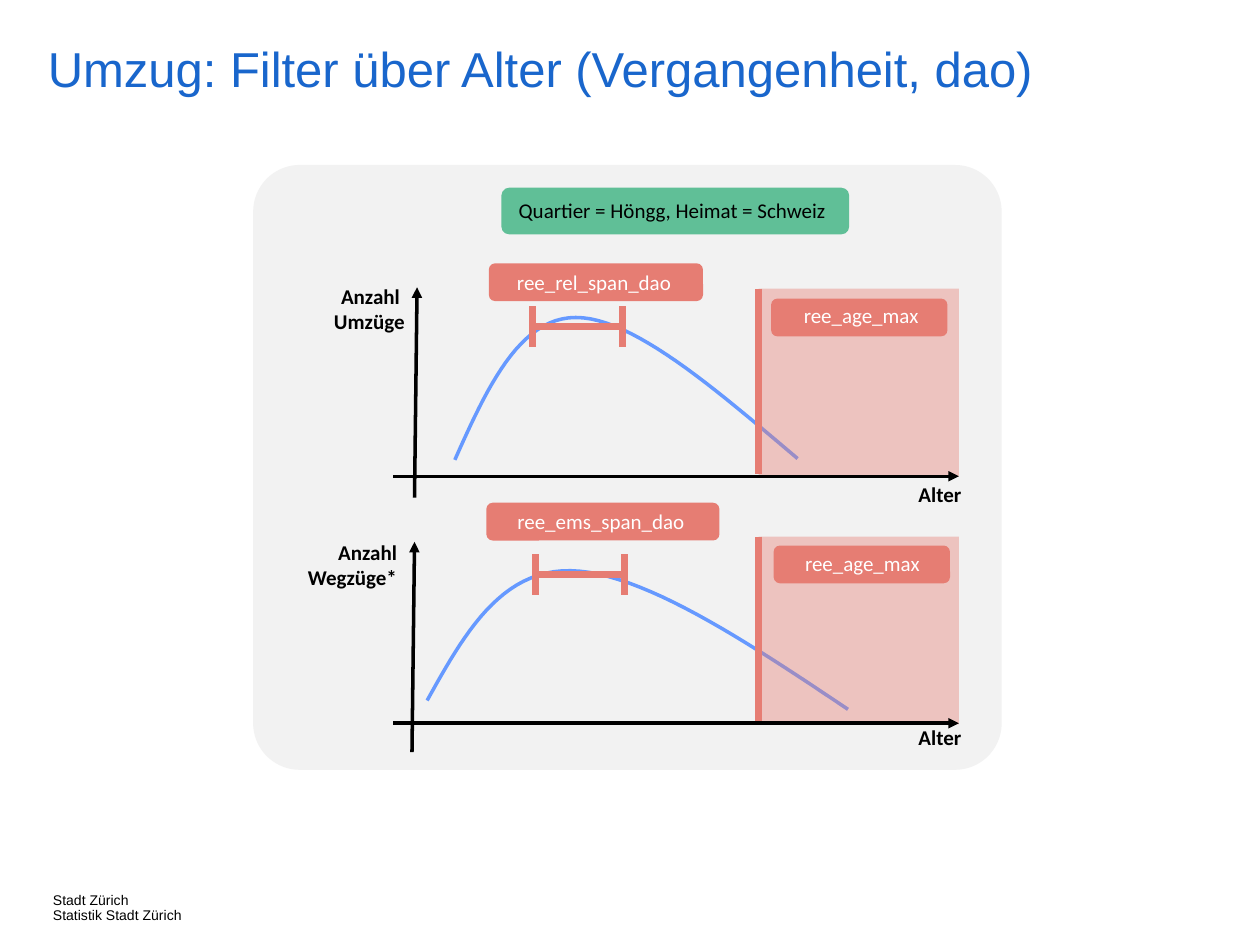
"""Build the slide on filtering moves by age."""
from dataclasses import dataclass

import lxml.etree
import pptx
import pptx.dml.color
import pptx.enum.shapes
import pptx.enum.text
import pptx.oxml.ns
import pptx.util

Inches = pptx.util.Inches
RGBColor = pptx.dml.color.RGBColor
Align = pptx.enum.text.PP_ALIGN
Shape = pptx.enum.shapes.MSO_SHAPE
qn = pptx.oxml.ns.qn
Point = tuple[float, float]
Box = tuple[float, float, float, float]

BLUE = RGBColor(0x19, 0x66, 0xCC)
CURVE_BLUE = RGBColor(0x66, 0x99, 0xFF)
CORAL = RGBColor(0xE6, 0x7D, 0x73)
GREEN = RGBColor(0x60, 0xBF, 0x97)
GREY = RGBColor(0xF2, 0xF2, 0xF2)
BLACK = RGBColor(0, 0, 0)
WHITE = RGBColor(0xFF, 0xFF, 0xFF)

AXIS_LEFT, AXIS_RIGHT, AGE_LIMIT = 3.12, 7.61, 6.02
CURVE_STEPS = 24


@dataclass(frozen=True)
class Label:
    text: str
    pill: Box
    text_box: Box


@dataclass(frozen=True)
class Diagram:
    count_label: str
    count_box: Box
    count_axis: tuple[Point, Point]
    age_axis_top: float
    age_label_top: float
    curve: tuple[Point, ...]
    span_left: float
    span_middle: float
    span_label: Label
    limit_top: float
    limit_label: Label


DIAGRAMS = (
    Diagram(
        "Anzahl \vUmzüge", (2.07, 2.2, 1.24, 0.5), ((3.29, 3.95), (3.31, 2.28)), 3.78, 3.77,
        ((3.61, 3.65), (3.86, 3.09), (4.12, 2.52), (4.57, 2.52),
         (5.02, 2.52), (5.67, 3.08), (6.33, 3.64)),
        4.23, 2.59,
        Label("ree_rel_span_dao", (3.88, 2.09, 1.7, 0.3), (3.81, 2.09, 1.81, 0.3)),
        2.29,
        Label("ree_age_max", (6.12, 2.37, 1.4, 0.3), (6.07, 2.35, 1.53, 0.3)),
    ),
    Diagram(
        "Anzahl Wegzüge*", (2.01, 4.23, 1.24, 0.5), ((3.27, 5.97), (3.29, 4.3)), 5.74, 5.7,
        ((3.39, 5.56), (3.68, 5.04), (3.97, 4.52), (4.53, 4.53),
         (5.09, 4.54), (5.91, 5.08), (6.73, 5.63)),
        4.25, 4.56,
        Label("ree_ems_span_dao", (3.86, 3.99, 1.85, 0.3), (3.79, 3.99, 1.96, 0.3)),
        4.26,
        Label("ree_age_max", (6.14, 4.33, 1.4, 0.3), (6.08, 4.32, 1.53, 0.3)),
    ),
)


def write(frame, text: str, *, size: float = 12, font: str = "Calibri",
          color: RGBColor = BLACK, bold: bool = False, align=Align.CENTER,
          spacing: float = 1.0, inset: bool = True, wrap: bool = True) -> None:
    """Fill a text frame with formatted text."""
    frame.text = text
    frame.word_wrap = wrap
    frame.auto_size = pptx.enum.text.MSO_AUTO_SIZE.NONE
    frame.vertical_anchor = pptx.enum.text.MSO_ANCHOR.TOP
    if not inset:
        frame.margin_left = frame.margin_right = frame.margin_top = frame.margin_bottom = 0
    for paragraph in frame.paragraphs:
        paragraph.alignment = align
        paragraph.line_spacing = spacing
        for run in paragraph.runs:
            run.font.size = pptx.util.Pt(size)
            run.font.name = font
            run.font.bold = bold
            run.font.color.rgb = color


def add_text(shapes, text: str, box: Box, **style) -> None:
    """Add a text box."""
    write(shapes.add_textbox(*map(Inches, box)).text_frame, text, **style)


def add_area(shapes, box: Box, color: RGBColor, kind=Shape.ROUNDED_RECTANGLE,
             rounding: float | None = None, opacity: int = 100) -> None:
    """Add a filled shape without an outline."""
    area = shapes.add_shape(kind, *map(Inches, box))
    area.shadow.inherit = False
    area.fill.solid()
    area.fill.fore_color.rgb = color
    area.line.fill.background()
    if rounding is not None:
        area.adjustments[0] = rounding
    if opacity < 100:
        tint = area.fill._xPr.find(f".//{qn('a:srgbClr')}")
        lxml.etree.SubElement(tint, qn("a:alpha"), val=str(opacity * 1000))


def add_line(shapes, start: Point, end: Point, color: RGBColor, width: float,
             arrow: bool = False) -> None:
    """Add a straight line, optionally with an arrowhead at its end."""
    line = shapes.add_connector(pptx.enum.shapes.MSO_CONNECTOR.STRAIGHT,
                                *map(Inches, (*start, *end)))
    line.line.color.rgb = color
    line.line.width = pptx.util.Pt(width)
    if arrow:
        lxml.etree.SubElement(line.line._get_or_add_ln(), qn("a:tailEnd"), type="triangle")
    lxml.etree.SubElement(line._element.spPr, qn("a:effectLst"))


def bezier(controls: tuple[Point, ...], t: float) -> Point:
    """Return the point at t on a cubic curve."""
    weights = ((1 - t) ** 3, 3 * t * (1 - t) ** 2, 3 * t * t * (1 - t), t ** 3)
    x, y = (sum(w * c for w, c in zip(weights, axis)) for axis in zip(*controls))
    return Inches(x), Inches(y)


def add_curve(shapes, controls: tuple[Point, ...]) -> None:
    """Add a smooth open curve through joined cubic sections."""
    points = [bezier(controls[first:first + 4], step / CURVE_STEPS)
              for first in range(0, len(controls) - 1, 3)
              for step in range(1, CURVE_STEPS + 1)]
    builder = shapes.build_freeform(*map(Inches, controls[0]))
    builder.add_line_segments(points, close=False)
    curve = builder.convert_to_shape()
    curve.shadow.inherit = False
    curve.fill.background()
    curve.line.color.rgb = CURVE_BLUE
    curve.line.width = pptx.util.Pt(2)


def add_label(shapes, label: Label) -> None:
    """Add a parameter name on a rounded background."""
    group = shapes.add_group_shape().shapes
    add_area(group, label.pill, CORAL)
    add_text(group, label.text, label.text_box, color=WHITE)


def add_span(shapes, left: float, middle: float) -> None:
    """Add a horizontal range bar with end caps."""
    group = shapes.add_group_shape().shapes
    right = left + 0.71
    add_line(group, (left, middle), (right, middle), CORAL, 4)
    for x in (left, right):
        add_line(group, (x, middle - 0.16), (x, middle + 0.16), CORAL, 4)


def add_diagram(shapes, diagram: Diagram) -> None:
    """Add one age distribution with its filters."""
    axis_top, limit_top = diagram.age_axis_top, diagram.limit_top
    add_curve(shapes, diagram.curve)
    add_text(shapes, "Alter", (6.84, diagram.age_label_top, 1.24, 0.3), bold=True)
    add_line(shapes, *diagram.count_axis, BLACK, 2, arrow=True)
    add_text(shapes, diagram.count_label, diagram.count_box, bold=True, align=Align.RIGHT)
    add_span(shapes, diagram.span_left, diagram.span_middle)
    add_label(shapes, diagram.span_label)
    add_line(shapes, (AGE_LIMIT, limit_top), (AGE_LIMIT, limit_top + 1.47), CORAL, 4)
    add_area(shapes, (AGE_LIMIT, limit_top, AXIS_RIGHT - AGE_LIMIT, 1.49), CORAL,
             Shape.RECTANGLE, opacity=40)
    add_line(shapes, (AXIS_LEFT, axis_top), (AXIS_RIGHT, axis_top), BLACK, 2, arrow=True)
    add_label(shapes, diagram.limit_label)


def main() -> None:
    """Create and save the presentation."""
    deck = pptx.Presentation()
    deck.slide_width, deck.slide_height = Inches(10), Inches(7.5)
    slide = deck.slides.add_slide(deck.slide_layouts[5])
    shapes = slide.shapes
    title = shapes.title
    title.left, title.top, title.width, title.height = map(Inches, (0.38, 0.36, 8.4, 0.64))
    write(title.text_frame, "Umzug: Filter über Alter (Vergangenheit, dao)", size=28,
          font="Arial", color=BLUE, align=Align.LEFT, spacing=0.9, inset=False)
    add_text(shapes, "Stadt Zürich\nStatistik Stadt Zürich", (0.42, 7.09, 1.31, 0.2), size=8,
             font="Arial", align=Align.LEFT, spacing=0.9, inset=False, wrap=False)
    add_area(shapes, (2.01, 1.31, 5.94, 4.8), GREY, rounding=0.077)
    add_area(shapes, (3.98, 1.49, 2.76, 0.37), GREEN)
    add_text(shapes, "Quartier = Höngg, Heimat = Schweiz", (3.98, 1.52, 2.71, 0.3))
    for diagram in DIAGRAMS:
        add_diagram(shapes, diagram)
    deck.save("out.pptx")


main()
